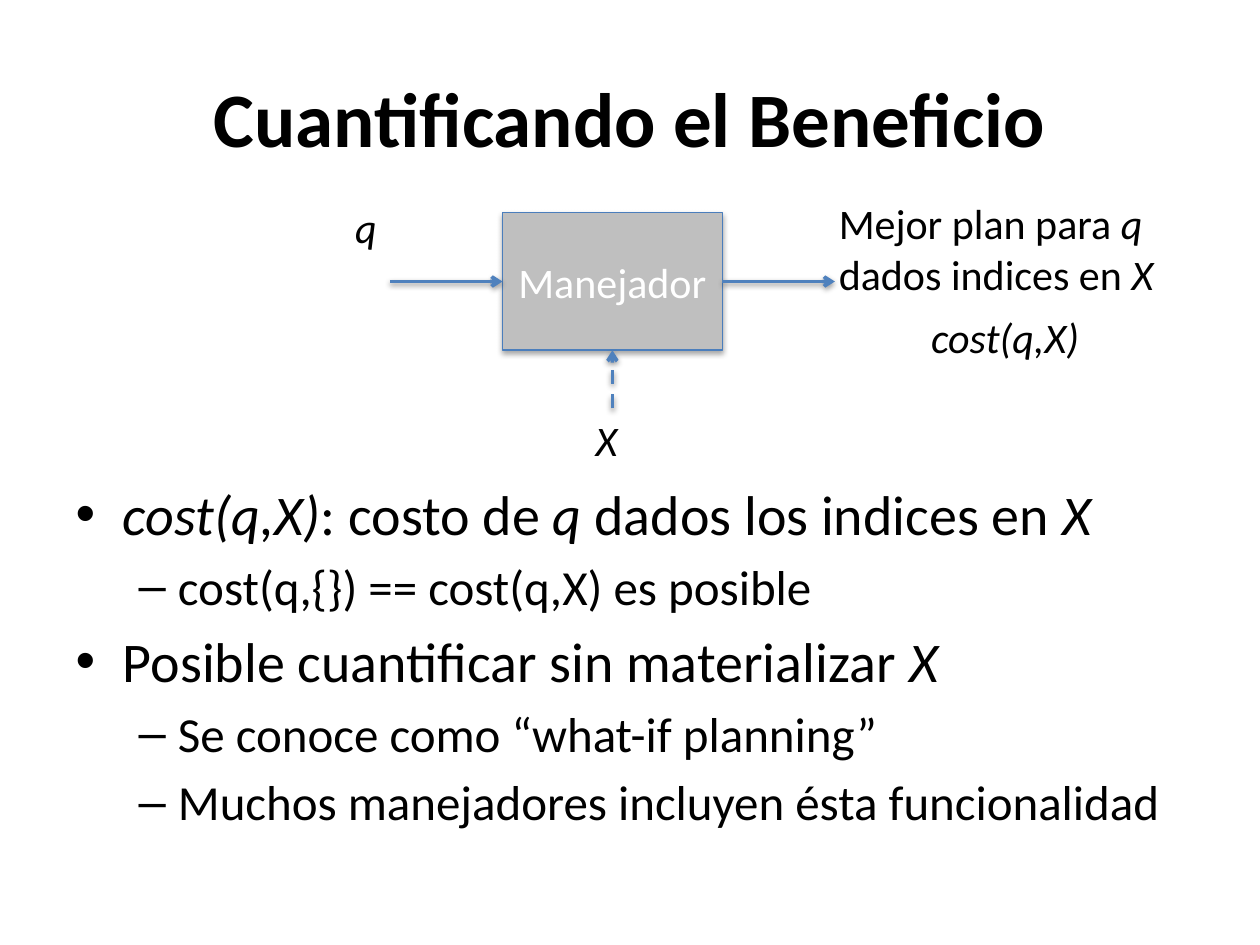
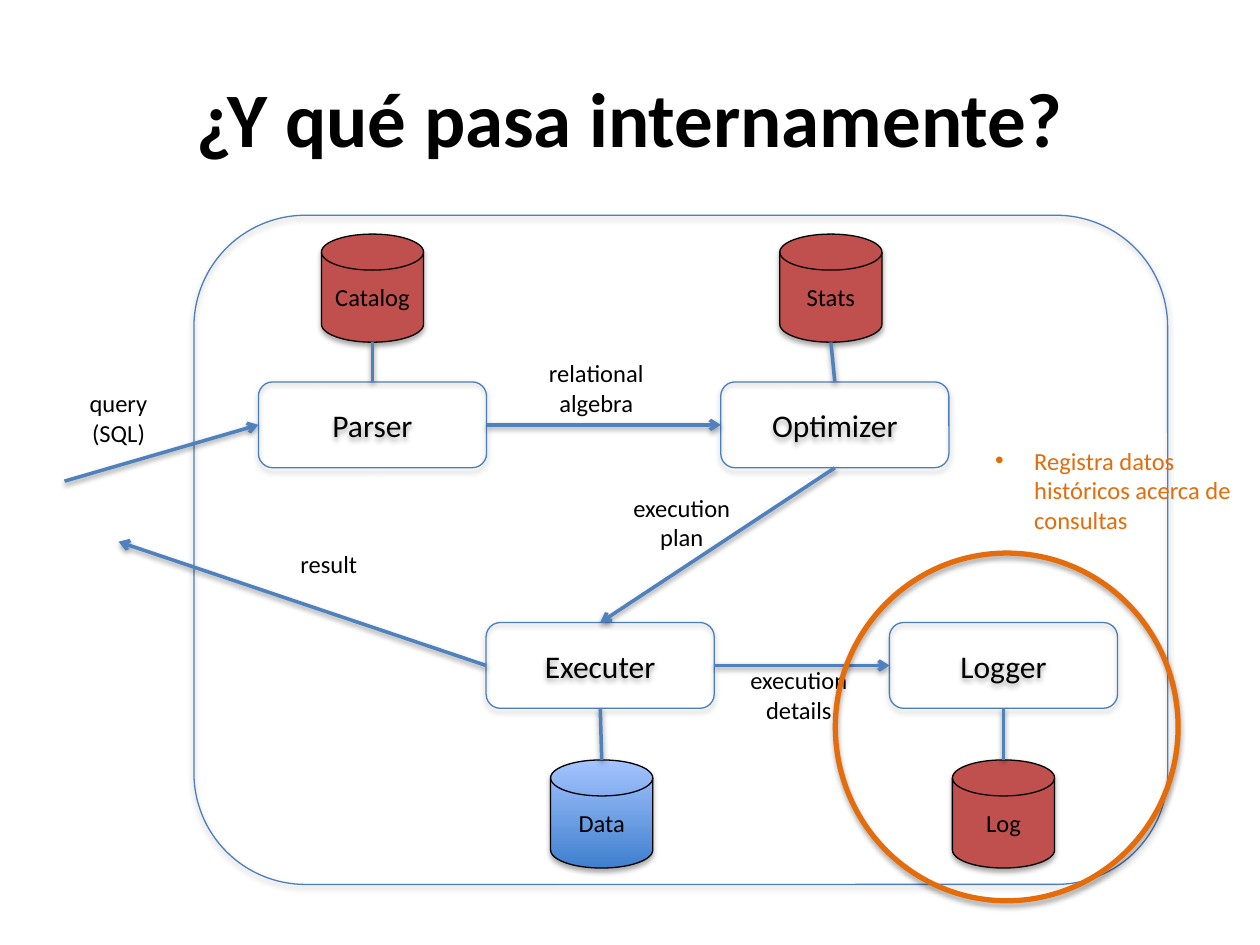
from dataclasses import dataclass
from typing import Optional

from lxml.etree import SubElement
from pptx import Presentation
from pptx.dml.color import RGBColor
from pptx.enum.dml import MSO_LINE as Dash
from pptx.enum.shapes import MSO_CONNECTOR as Conn, MSO_SHAPE as Kind
from pptx.enum.text import MSO_ANCHOR as Anchor, MSO_AUTO_SIZE as Fit, PP_ALIGN as Align
from pptx.oxml.ns import qn
from pptx.util import Cm, Pt

# Shared look
FONT = "Calibri"
BLACK, WHITE, GREY = "000000", "FFFFFF", "BFBFBF"
EDGE, WIRE = "4B7EBC", "4F81BD"
RED, ORANGE = "C0504D", "E46C0A"
SKY = ("3F80CE", "A4C4FF")
Point = tuple[float, float]


@dataclass
class Box:
    """A shape with its text; lengths in cm."""
    x: float
    y: float
    w: float
    h: float
    text: str = ""
    kind: Kind = Kind.ROUNDED_RECTANGLE
    fill: Optional[str | tuple[str, str]] = None
    line: str = EDGE
    width: float = 0.75
    size: int = 18
    ink: str = BLACK

    @property
    def mid(self) -> Point:
        return self.x + self.w / 2, self.y + self.h / 2

    @property
    def top(self) -> Point:
        return self.mid[0], self.y

    @property
    def foot(self) -> Point:
        return self.mid[0], self.y + self.h

    @property
    def left(self) -> Point:
        return self.x, self.mid[1]

    @property
    def right(self) -> Point:
        return self.x + self.w, self.mid[1]


@dataclass
class Label:
    """Free text; asterisks enclose italics."""
    x: float
    y: float
    w: float
    h: float
    text: str
    size: int = 14
    align: Align = Align.CENTER
    anchor: Anchor = Anchor.TOP
    ink: str = BLACK
    wrap: bool = False


@dataclass
class Wire:
    start: Point
    end: Point
    arrow: bool = True
    dash: bool = False


def color(code: str) -> RGBColor:
    return RGBColor.from_string(code)


def write(para, text: str, size: int, ink: str = BLACK, bold: bool = False) -> None:
    for i, part in enumerate(text.split("*")):
        if not part:
            continue
        run = para.add_run()
        run.text = part
        font = run.font
        font.name, font.size, font.bold = FONT, Pt(size), bold
        font.italic = i % 2 == 1
        font.color.rgb = color(ink)


def place(shape, x: float, y: float, w: float, h: float) -> None:
    shape.left, shape.top, shape.width, shape.height = map(Cm, (x, y, w, h))


def draw_box(slide, box: Box) -> None:
    shape = slide.shapes.add_shape(box.kind, *map(Cm, (box.x, box.y, box.w, box.h)))
    fill = shape.fill
    if box.fill is None:
        fill.background()
    elif isinstance(box.fill, str):
        fill.solid()
        fill.fore_color.rgb = color(box.fill)
    else:
        fill.gradient()
        fill.gradient_angle = 90
        for stop, code in zip(fill.gradient_stops, box.fill):
            stop.color.rgb = color(code)
    shape.line.color.rgb = color(box.line)
    shape.line.width = Pt(box.width)
    if box.text:
        frame = shape.text_frame
        frame.vertical_anchor = Anchor.MIDDLE
        para = frame.paragraphs[0]
        para.alignment = Align.CENTER
        write(para, box.text, box.size, box.ink)


def draw_label(slide, label: Label):
    shape = slide.shapes.add_textbox(*map(Cm, (label.x, label.y, label.w, label.h)))
    frame = shape.text_frame
    frame.word_wrap = label.wrap
    frame.auto_size = Fit.SHAPE_TO_FIT_TEXT
    frame.vertical_anchor = label.anchor
    for i, text in enumerate(label.text.split("\n")):
        para = frame.add_paragraph() if i else frame.paragraphs[0]
        para.alignment = label.align
        write(para, text, label.size, label.ink)
    return frame


def draw_wire(slide, wire: Wire) -> None:
    # The theme's soft shadow is kept on lines and shapes
    conn = slide.shapes.add_connector(Conn.STRAIGHT, *map(Cm, wire.start + wire.end))
    line = conn.line
    line.color.rgb = color(WIRE)
    line.width = Pt(2)
    if wire.dash:
        line.dash_style = Dash.DASH
    if wire.arrow:
        SubElement(line._get_or_add_ln(), qn("a:tailEnd"), type="arrow")


def bullet(para, indent: float) -> None:
    props = para._p.get_or_add_pPr()
    props.set("marL", str(Cm(indent)))
    props.set("indent", str(-Cm(indent)))
    SubElement(props, qn("a:buFont"), typeface="Arial")
    SubElement(props, qn("a:buChar"), char="•")


def start(deck, layout: int, title: str):
    slide = deck.slides.add_slide(deck.slide_layouts[layout])
    head = slide.shapes.title
    place(head, 1.27, 0.76, 22.86, 3.18)
    para = head.text_frame.paragraphs[0]
    para.alignment = Align.CENTER
    write(para, title, 44, bold=True)
    return slide


def benefit(deck) -> None:
    slide = start(deck, 1, "Cuantificando el Beneficio")

    # Points
    body = slide.placeholders[1]
    place(body, 1.27, 9.53, 22.86, 8.86)
    points = [
        (0, "*cost(q,X)*: costo de *q *dados los indices en *X*"),
        (1, "cost(q,{}) == cost(q,X) es posible"),
        (0, "Posible cuantificar sin materializar *X*"),
        (1, "Se conoce como “what-if planning”"),
        (1, "Muchos manejadores incluyen ésta funcionalidad"),
    ]
    frame = body.text_frame
    for i, (level, text) in enumerate(points):
        para = frame.add_paragraph() if i else frame.paragraphs[0]
        para.level = level
        write(para, text, 28 if level else 32)

    # Engine with its inputs and output
    engine = Box(10.13, 4.29, 4.43, 2.77, "Manejador", Kind.RECTANGLE, GREY,
                 size=24, ink=WHITE)
    draw_box(slide, engine)
    reach = 2.27
    (lx, ly), (rx, ry), (fx, fy) = engine.left, engine.right, engine.foot
    for wire in (
        Wire((lx - reach, ly), engine.left),
        Wire(engine.right, (rx + reach, ry)),
        Wire((fx, fy + 1.17), engine.foot, dash=True),
    ):
        draw_wire(slide, wire)
    for x, y, w, h, text in (
        (6.91, 3.94, 1.17, 1.27, "*q*"),
        (16.66, 3.86, 7.09, 2.31, "Mejor plan para *q*\ndados indices en *X*"),
        (11.76, 8.23, 1.17, 1.27, "*X*"),
        (18.52, 6.15, 3.58, 1.27, "*cost(q,X)*"),
    ):
        draw_label(slide, Label(x, y, w, h, text, 24, Align.LEFT))


def inside(deck) -> None:
    slide = start(deck, 5, "¿Y qué pasa internamente?")

    def stage(x: float, y: float, text: str) -> Box:
        return Box(x, y, 4.6, 1.73, text)

    def store(x: float, y: float, text: str, fill=RED) -> Box:
        return Box(x, y, 2.06, 2.18, text, Kind.FLOWCHART_MAGNETIC_DISK,
                   fill, BLACK, size=14)

    # Stages and stores
    frame = Box(3.91, 4.34, 19.63, 13.49)
    upper, lower = 7.7, 12.55
    parser = stage(5.21, upper, "Parser")
    planner = stage(14.53, upper, "Optimizer")
    runner = stage(9.8, lower, "Executer")
    logger = stage(17.93, lower, "Logger")
    high, low = 4.72, 15.32
    catalog = store(6.48, high, "Catalog")
    stats = store(15.72, high, "Stats")
    data = store(11.1, low, "Data", SKY)
    log = store(19.2, low, "Log")
    for box in (frame, parser, planner, runner, logger, catalog, stats, data, log):
        draw_box(slide, box)

    # Flow
    for wire in (
        Wire((1.3, 9.7), parser.left),
        Wire(parser.right, planner.left),
        Wire(planner.foot, runner.top),
        Wire(runner.right, logger.left),
        Wire(runner.left, (2.39, 10.92)),
        Wire(parser.top, catalog.foot, arrow=False),
        Wire(planner.top, stats.foot, arrow=False),
        Wire(data.top, runner.foot, arrow=False),
        Wire(log.top, logger.foot, arrow=False),
    ):
        draw_wire(slide, wire)

    # Names of what flows
    for x, y, w, h, text, anchor in (
        (1.55, 7.7, 1.68, 1.45, "query\n(SQL)", Anchor.TOP),
        (10.8, 7.09, 2.44, 1.45, "relational\nalgebra", Anchor.MIDDLE),
        (12.5, 9.8, 2.49, 1.45, "execution\nplan", Anchor.MIDDLE),
        (5.79, 10.95, 1.68, 0.86, "result", Anchor.TOP),
        (14.86, 13.28, 2.49, 1.45, "execution\ndetails", Anchor.MIDDLE),
    ):
        draw_label(slide, Label(x, y, w, h, text, anchor=anchor))

    # Highlight on the logger
    draw_box(slide, Box(16.84, 11.15, 6.91, 7.01, kind=Kind.OVAL, line=ORANGE, width=3))
    note = draw_label(slide, Label(
        19.81, 8.86, 5.87, 2.06, "Registra datos históricos acerca de consultas",
        align=Align.LEFT, ink=ORANGE, wrap=True))
    bullet(note.paragraphs[0], 0.79)


def main() -> None:
    deck = Presentation()
    deck.slide_width, deck.slide_height = Cm(25.4), Cm(19.05)
    benefit(deck)
    inside(deck)
    deck.save("out.pptx")


if __name__ == "__main__":
    main()
